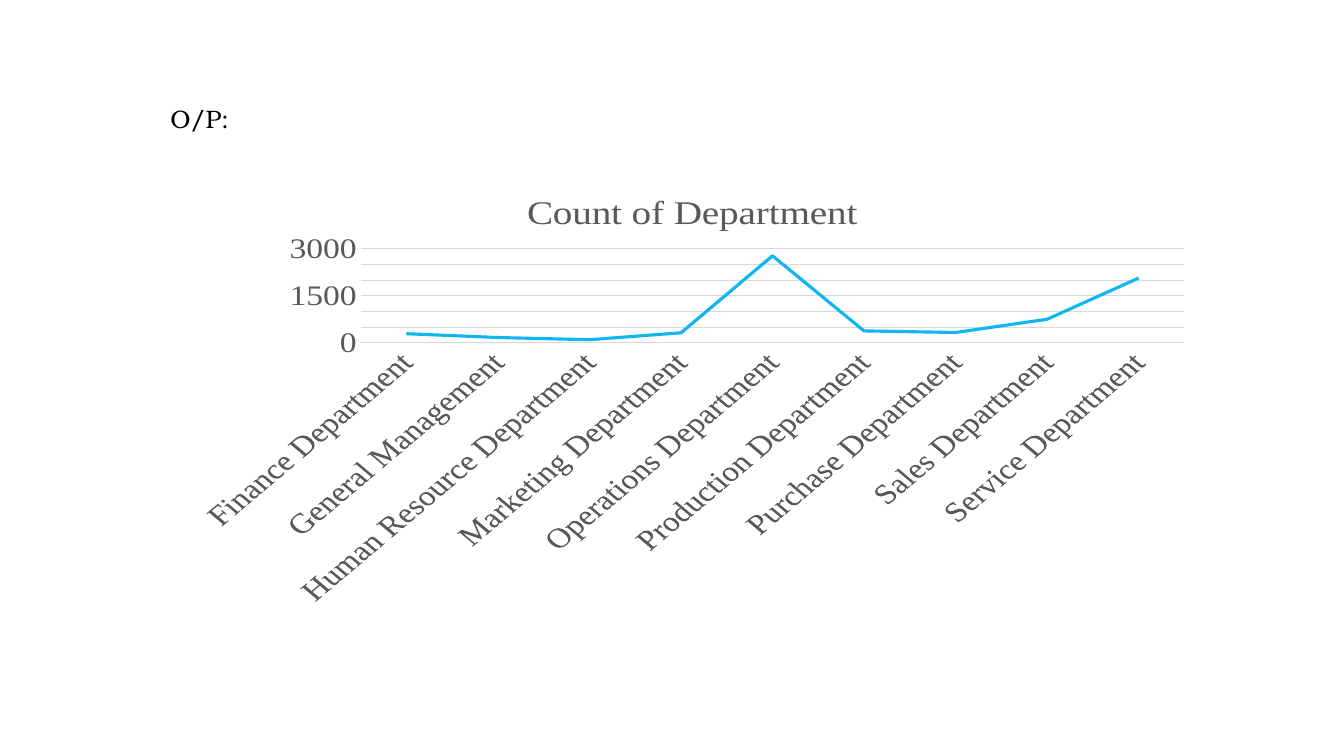
from pptx import Presentation
from pptx import util as u
from pptx.chart import data as cd
from pptx.dml.color import RGBColor
from pptx.enum import chart as ch, text as tx

BLACK = RGBColor(0x00, 0x00, 0x00)
GREY = RGBColor(0x59, 0x59, 0x59)
PALE = RGBColor(0xD9, 0xD9, 0xD9)
BLUE = RGBColor(0x10, 0xB6, 0xF4)

COUNTS = {
    "Finance Department": 290,
    "General Management": 170,
    "Human Resource Department": 100,
    "Marketing Department": 320,
    "Operations Department": 2770,
    "Production Department": 380,
    "Purchase Department": 330,
    "Sales Department": 750,
    "Service Department": 2060,
}


class Page:
    """Holds the style and the current slide."""
    serif = "Times New Roman"
    label = "TeX Gyre Bonum"

    def __init__(self, deck):
        self.slide = deck.slides.add_slide(deck.slide_layouts[6])

    def font(self, font, name, size, color):
        font.name, font.size, font.bold = name, u.Pt(size), False
        font.color.rgb = color

    def line(self, line, color, width):
        line.color.rgb = color
        line.width = u.Pt(width)

    def text(self, words, *box):
        frame = self.slide.shapes.add_textbox(*map(u.Inches, box)).text_frame
        frame.word_wrap = True
        frame.auto_size = tx.MSO_AUTO_SIZE.SHAPE_TO_FIT_TEXT
        para = frame.paragraphs[0]
        para.text = words
        self.font(para.font, self.label, 18, BLACK)

    def graph(self, title, counts, *box):
        data = cd.CategoryChartData()
        data.categories = list(counts)
        data.add_series("Series 1", list(counts.values()))
        chart = self.slide.shapes.add_chart(
            ch.XL_CHART_TYPE.LINE, *map(u.Inches, box), data).chart
        self.font(chart.font, self.serif, 24, BLACK)
        chart.has_legend = False

        # Title
        chart.has_title = True
        para = chart.chart_title.text_frame.paragraphs[0]
        para.text = title
        self.font(para.font, self.serif, 28, GREY)
        chart.chart_title.include_in_layout = False

        # Axes
        cat, val = chart.category_axis, chart.value_axis
        for axis in (cat, val):
            axis.major_tick_mark = axis.minor_tick_mark = ch.XL_TICK_MARK.NONE
            self.font(axis.tick_labels.font, self.serif, 24, GREY)
        self.line(cat.format.line, PALE, 0.75)
        val.format.line.fill.background()
        val.minimum_scale, val.maximum_scale, val.major_unit = 0, 3000, 500
        self.line(val.major_gridlines.format.line, PALE, 0.75)

        # Series
        series = chart.plots[0].series[0]
        series.smooth = False
        series.marker.style = ch.XL_MARKER_STYLE.NONE
        self.line(series.format.line, BLUE, 2.25)


def main():
    deck = Presentation()
    deck.slide_width, deck.slide_height = u.Inches(13.33), u.Inches(7.5)
    page = Page(deck)
    page.graph("Count of Department", COUNTS, 1.78, 1.72, 10.17, 4.3)
    page.text("O/P:", 1.59, 0.98, 1.92, 0.4)
    deck.save("out.pptx")


if __name__ == "__main__":
    main()
